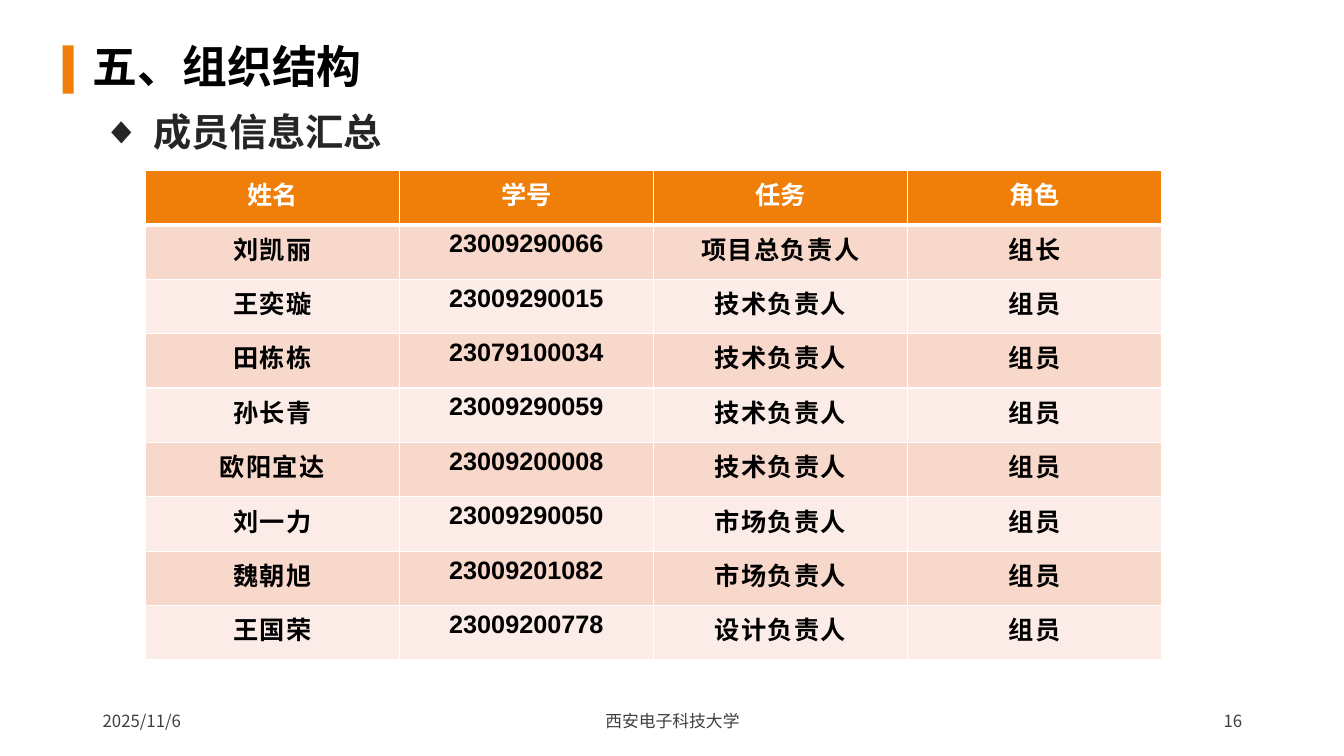
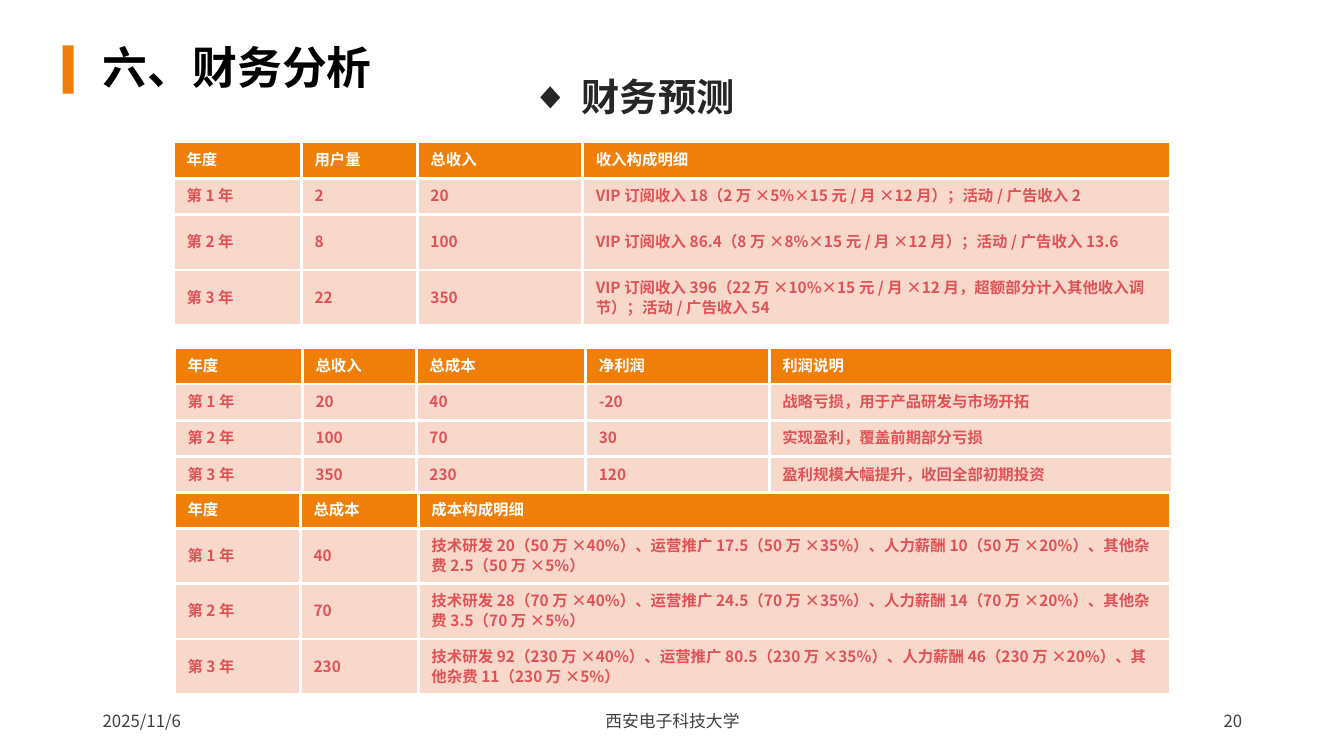
from pptx import Presentation
from pptx.dml.color import RGBColor
from pptx.enum.shapes import MSO_SHAPE
from pptx.enum.text import MSO_ANCHOR, MSO_AUTO_SIZE, PP_ALIGN
from pptx.oxml.ns import qn
from pptx.util import Pt
from lxml.etree import SubElement, Element

PX = 9144


class Theme:
    orange = "F07F09"
    white = "FFFFFF"
    black = "000000"
    dark = "262626"
    gray = "404040"
    red = "DF5356"
    rose = "F9D8CC"
    pale = "FCECE7"
    cjk = "Noto Sans CJK SC"
    latin = "Arial"
    title = 32
    head = 27.3
    table = 18
    small = 11
    foot = 12


def write(frame, text, size=Theme.foot, color=Theme.gray, font=Theme.cjk, bold=False,
          align=PP_ALIGN.LEFT, anchor=MSO_ANCHOR.MIDDLE, line=None, track=0, bullet=None):
    frame.word_wrap = True
    frame.vertical_anchor = anchor
    para = frame.paragraphs[0]
    para.alignment = align
    para.space_before = Pt(0)
    if line:
        para.line_spacing = line
    if bullet:
        props = para._p.get_or_add_pPr()
        props.set("marL", str(50 * PX))
        props.set("indent", str(-50 * PX))
        SubElement(props, qn("a:buFont")).set("typeface", Theme.latin)
        SubElement(props, qn("a:buChar")).set("char", bullet)
    run = para.add_run()
    run.text = text
    run.font.size = Pt(size)
    run.font.name = font
    run.font.bold = bold
    run.font.color.rgb = RGBColor.from_string(color)
    props = run._r.get_or_add_rPr()
    SubElement(props, qn("a:ea")).set("typeface", Theme.cjk)
    if track:
        props.set("spc", str(track))


def grid(slide, left, top, cols, highs, rows, fills, edge, rule, look, pad=None):
    frame = slide.shapes.add_table(len(rows), len(cols), left * PX, top * PX,
                                   sum(cols) * PX, sum(highs) * PX)
    table = frame.table
    for col, wide in zip(table.columns, cols):
        col.width = wide * PX
    for r, (high, row) in enumerate(zip(highs, rows)):
        table.rows[r].height = high * PX
        for c, text in enumerate(row):
            cell = table.cell(r, c)
            cell.fill.solid()
            fill = fills[(r - 1) % len(fills)] if r else Theme.orange
            cell.fill.fore_color.rgb = RGBColor.from_string(fill)
            form = look(r, c)
            write(cell.text_frame, text, **form)
            cell.vertical_anchor = form["anchor"]
            if pad:
                cell.margin_left = cell.margin_right = pad[0] * PX
                cell.margin_top = cell.margin_bottom = pad[1] * PX
            for i, side in enumerate(("lnL", "lnR", "lnT", "lnB")):
                thick = rule if (r, side) in ((0, "lnB"), (1, "lnT")) else edge
                ln = Element(qn("a:" + side), w=str(Pt(thick)))
                tint = SubElement(SubElement(ln, qn("a:solidFill")), qn("a:srgbClr"))
                tint.set("val", Theme.white)
                cell._tc.get_or_add_tcPr().insert(i, ln)


def_page = [
    ("五、组织结构", (82, 48, 1150, 40), "成员信息汇总", (92, 105, 1150, 57), "16"),
    ("六、财务分析", (92, 49, 1150, 40), "财务预测", (517, 68, 1150, 61), "20"),
]

deck = Presentation()
deck.slide_width, deck.slide_height = 1333 * PX, 750 * PX
slides = []
for title, spot, head, place, page in def_page:
    slide = deck.slides.add_slide(deck.slide_layouts[1])
    slides.append(slide)
    bar = slide.shapes.add_shape(MSO_SHAPE.RECTANGLE, 62 * PX, 45 * PX, 11 * PX, 48 * PX)
    bar.shadow.inherit = False
    bar.fill.solid()
    bar.fill.fore_color.rgb = RGBColor.from_string(Theme.orange)
    bar.line.fill.background()
    for box, text, at, size, color, mark in (
        (slide.shapes.title, title, spot, Theme.title, Theme.black, None),
        (slide.placeholders[1], head, place, Theme.head, Theme.dark, "◆"),
    ):
        box.left, box.top, box.width, box.height = [n * PX for n in at]
        box.text_frame.auto_size = MSO_AUTO_SIZE.NONE
        write(box.text_frame, text, size=size, color=color, bold=True, line=0.9, bullet=mark)
    for text, left, wide, align in (
        ("2025/11/6", 92, 300, PP_ALIGN.LEFT),
        ("西安电子科技大学", 442, 450, PP_ALIGN.CENTER),
        (page, 942, 300, PP_ALIGN.RIGHT),
    ):
        box = slide.shapes.add_textbox(left * PX, 695 * PX, wide * PX, 40 * PX)
        write(box.text_frame, text, align=align)

team, money = slides

staff = [
    ("姓名", "学号", "任务", "角色"),
    ("刘凯丽", "23009290066", "项目总负责人", "组长"),
    ("王奕璇", "23009290015", "技术负责人", "组员"),
    ("田栋栋", "23079100034", "技术负责人", "组员"),
    ("孙长青", "23009290059", "技术负责人", "组员"),
    ("欧阳宜达", "23009200008", "技术负责人", "组员"),
    ("刘一力", "23009290050", "市场负责人", "组员"),
    ("魏朝旭", "23009201082", "市场负责人", "组员"),
    ("王国荣", "23009200778", "设计负责人", "组员"),
]
grid(team, 144, 169, [252] * 4, [54] * len(staff), staff, (Theme.rose, Theme.pale), 1, 3,
     lambda r, c: dict(size=Theme.table, bold=True, align=PP_ALIGN.CENTER,
                       anchor=MSO_ANCHOR.TOP,
                       color=Theme.black if r else Theme.white,
                       font=Theme.cjk if r and c != 1 else Theme.latin,
                       track=100 if r and c != 1 else 0))

sales = [
    ("年度", "用户量", "总收入", "收入构成明细"),
    ("第 1 年", "2", "20", "VIP 订阅收入 18（2 万 ×5%×15 元 / 月 ×12 月）；活动 / 广告收入 2"),
    ("第 2 年", "8", "100", "VIP 订阅收入 86.4（8 万 ×8%×15 元 / 月 ×12 月）；活动 / 广告收入 13.6"),
    ("第 3 年", "22", "350",
     "VIP 订阅收入 396（22 万 ×10%×15 元 / 月 ×12 月，超额部分计入其他收入调节）；活动 / 广告收入 54"),
]
costs = [
    ("年度", "总成本", "成本构成明细"),
    ("第 1 年", "40",
     "技术研发 20（50 万 ×40%）、运营推广 17.5（50 万 ×35%）、人力薪酬 10（50 万 ×20%）、其他杂费 2.5（50 万 ×5%）"),
    ("第 2 年", "70",
     "技术研发 28（70 万 ×40%）、运营推广 24.5（70 万 ×35%）、人力薪酬 14（70 万 ×20%）、其他杂费 3.5（70 万 ×5%）"),
    ("第 3 年", "230",
     "技术研发 92（230 万 ×40%）、运营推广 80.5（230 万 ×35%）、人力薪酬 46（230 万 ×20%）、其他杂费 11（230 万 ×5%）"),
]
gains = [
    ("年度", "总收入", "总成本", "净利润", "利润说明"),
    ("第 1 年", "20", "40", "-20", "战略亏损，用于产品研发与市场开拓"),
    ("第 2 年", "100", "70", "30", "实现盈利，覆盖前期部分亏损"),
    ("第 3 年", "350", "230", "120", "盈利规模大幅提升，收回全部初期投资"),
]
ONE, TWO = 36, 55
for left, top, cols, highs, rows in (
    (172, 141, (127, 115, 164, 583), (ONE, ONE, TWO, TWO), sales),
    (173, 488, (125, 117, 746), (ONE, TWO, TWO, TWO), costs),
    (173, 345, (127, 113, 168, 182, 400), (ONE,) * 4, gains),
):
    grid(money, left, top, cols, highs, rows, (Theme.rose,), 2.25, 2.25,
         lambda r, c: dict(size=Theme.small, bold=True, line=Pt(14),
                           anchor=MSO_ANCHOR.MIDDLE,
                           color=Theme.red if r else Theme.white),
         pad=(13, 8))

deck.save("out.pptx")
